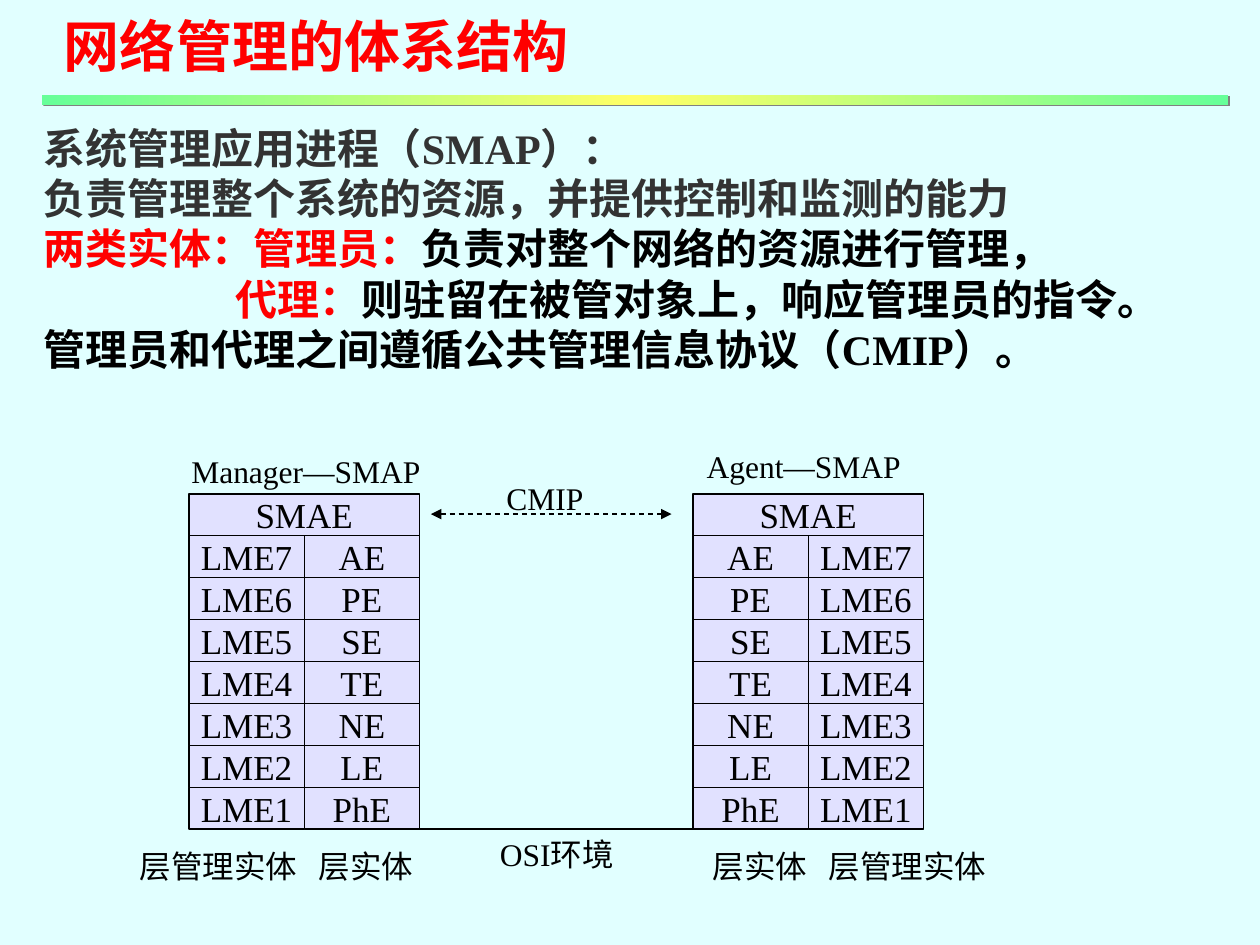
from lxml import etree
from pptx import Presentation
from pptx import util as u
from pptx.dml.color import RGBColor
from pptx.enum import dml, shapes, text
from pptx.oxml import parse_xml
from pptx.oxml.ns import nsdecls, qn

FONT = "Times New Roman"
BLACK, RED, GRAY = "000000", "FF0000", "333333"
ENTITIES = ["AE", "PE", "SE", "TE", "NE", "LE", "PhE"]
LAYERS = [f"LME{level}" for level in range(7, 0, -1)]


def color(value):
    return RGBColor.from_string(value)


def style_font(font, size, value=BLACK, bold=False):
    font.name = FONT
    font.size = u.Pt(size)
    font.bold = bold
    font.color.rgb = color(value)


def add_text(slide, box, size, paragraphs, bold=False, wrap=False):
    shape = slide.shapes.add_textbox(*map(u.Inches, box))
    frame = shape.text_frame
    frame.word_wrap = wrap
    for index, runs in enumerate(paragraphs):
        paragraph = frame.add_paragraph() if index else frame.paragraphs[0]
        for words, value in runs:
            run = paragraph.add_run()
            run.text = words
            style_font(run.font, size, value, bold)
    return frame


def add_label(slide, box, words):
    return add_text(slide, box, 18, [[(words, BLACK)]])


def add_tabbed_label(slide, box, words, stop):
    frame = add_text(slide, box, 18, [[(words, BLACK)]], wrap=True)
    properties = frame.paragraphs[0]._p.get_or_add_pPr()
    tabs = etree.SubElement(properties, qn("a:tabLst"))
    etree.SubElement(tabs, qn("a:tab"), pos=str(u.Inches(stop)), algn="l")


def add_line(slide, left, right, top):
    line = slide.shapes.add_connector(
        shapes.MSO_CONNECTOR.STRAIGHT,
        u.Inches(left), u.Inches(top), u.Inches(right), u.Inches(top))
    line.line.color.rgb = color(BLACK)
    line.line.width = u.Pt(0.75)
    etree.SubElement(line._element.spPr, qn("a:effectLst"))
    return line


def add_title_bar(slide, box):
    bar = slide.shapes.add_shape(shapes.MSO_SHAPE.RECTANGLE, *map(u.Inches, box))
    bar.line.fill.background()
    stops = "".join(
        f'<a:gs pos="{position}"><a:srgbClr val="{value}"/></a:gs>'
        for position, value in [(0, "66FF99"), (50000, "FFFF66"), (100000, "66FF99")])
    properties = bar._element.spPr
    properties.find(qn("a:prstGeom")).addnext(parse_xml(
        f'<a:gradFill {nsdecls("a")} rotWithShape="1"><a:gsLst>{stops}</a:gsLst>'
        '<a:lin ang="0" scaled="1"/></a:gradFill>'))
    properties.append(parse_xml(
        f'<a:effectLst {nsdecls("a")}><a:outerShdw dist="{u.Pt(1.4)}" dir="2700000" '
        'algn="ctr" rotWithShape="0"><a:srgbClr val="808080"/></a:outerShdw></a:effectLst>'))


def add_header(slide):
    add_text(slide, (0.41, 0.04, 4.6, 0.64), 32, [[("网络管理的体系结构", RED)]],
             bold=True, wrap=True)
    add_title_bar(slide, (0.33, 0.75, 9.42, 0.08))


def add_description(slide, box):
    frame = add_text(slide, box, 24, [
        [("系统管理应用进程（SMAP）：", GRAY)],
        [("负责管理整个系统的资源，并提供控制和监测的能力", GRAY)],
        [("两类实体：管理员：", RED), ("负责对整个网络的资源进行管理，", BLACK)],
        [("代理：", RED), ("则驻留在被管对象上，响应管理员的指令。", BLACK)],
        [("管理员和代理之间遵循公共管理信息协议（CMIP）。", BLACK)],
    ], bold=True, wrap=True)
    agent_properties = frame.paragraphs[3]._p.get_or_add_pPr()
    agent_properties.set("marL", str(u.Inches(1.52)))
    agent_properties.set("indent", "0")


def add_cell(slide, box, words):
    cell = slide.shapes.add_shape(shapes.MSO_SHAPE.RECTANGLE, *map(u.Inches, box))
    cell.shadow.inherit = False
    cell.fill.solid()
    cell.fill.fore_color.rgb = color("E1E1FF")
    cell.line.color.rgb = color(BLACK)
    cell.line.width = u.Pt(0.75)
    frame = cell.text_frame
    frame.word_wrap = False
    frame.vertical_anchor = text.MSO_ANCHOR.MIDDLE
    paragraph = frame.paragraphs[0]
    paragraph.text = words
    paragraph.alignment = text.PP_ALIGN.CENTER
    style_font(paragraph.font, 20)


def add_stack(slide, box, columns):
    left, top, width, height = box
    row_height = height / (len(LAYERS) + 1)
    column_width = width / 2
    add_cell(slide, (left, top, width, row_height), "SMAE")
    for row, names in enumerate(zip(*columns), 1):
        for column, name in enumerate(names):
            add_cell(slide, (left + column * column_width, top + row * row_height,
                             column_width, row_height), name)


def add_manager(slide, box):
    left, top, _, height = box
    add_stack(slide, box, (LAYERS, ENTITIES))
    add_label(slide, (left - 0.08, top - 0.38, 2.02, 0.4), "Manager—SMAP")
    add_tabbed_label(slide, (left - 0.49, top + height + 0.09, 2.5, 0.4),
                     "层管理实体\t层实体", 1.42)


def add_agent(slide, box):
    left, top, _, height = box
    add_stack(slide, box, (ENTITIES, LAYERS))
    add_label(slide, (left + 0.01, top - 0.42, 1.74, 0.4), "Agent—SMAP")
    add_tabbed_label(slide, (left + 0.06, top + height + 0.09, 2.5, 0.4),
                     "层实体\t层管理实体", 0.92)


def add_links(slide, top, bottom):
    add_line(slide, 2.92, 5.83, bottom)
    add_label(slide, (3.87, bottom, 1.16, 0.4), "OSI环境")
    arrow = add_line(slide, 3.42, 5.33, top + 0.16)
    arrow.line.dash_style = dml.MSO_LINE.DASH
    for end in ("a:headEnd", "a:tailEnd"):
        etree.SubElement(arrow.line._get_or_add_ln(), qn(end), type="triangle")
    add_label(slide, (3.92, top - 0.17, 0.81, 0.4), "CMIP")


def main():
    presentation = Presentation()
    presentation.slide_width = u.Inches(10)
    presentation.slide_height = u.Inches(7.5)
    slide = presentation.slides.add_slide(presentation.slide_layouts[6])
    slide.background.fill.solid()
    slide.background.fill.fore_color.rgb = color("E1FFFF")
    top, width, height = 3.92, 1.83, 2.66
    add_header(slide)
    add_description(slide, (0.25, 0.92, 9.42, 2.1))
    add_manager(slide, (1.5, top, width, height))
    add_agent(slide, (5.5, top, width, height))
    add_links(slide, top, top + height)
    presentation.save("out.pptx")


if __name__ == "__main__":
    main()
